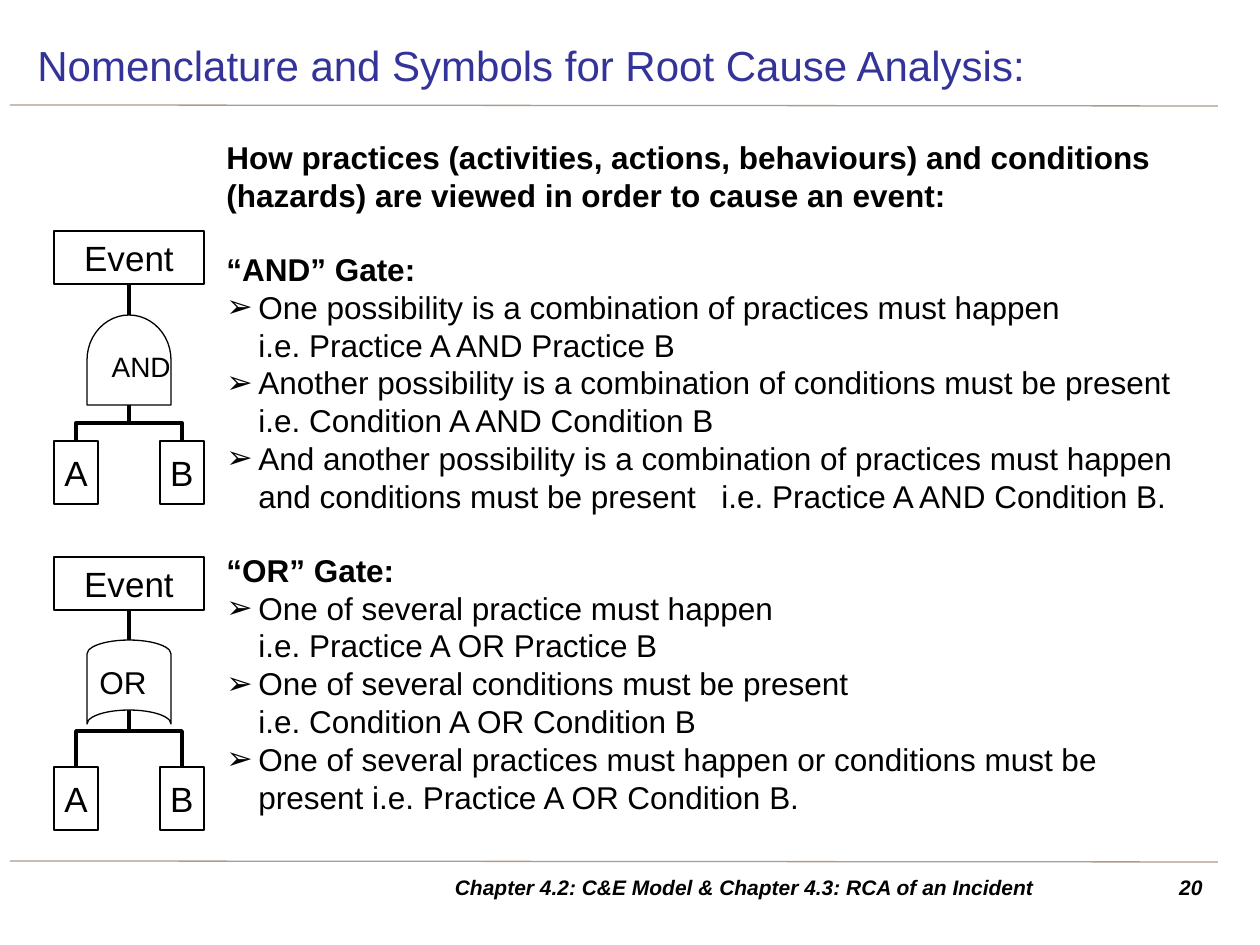
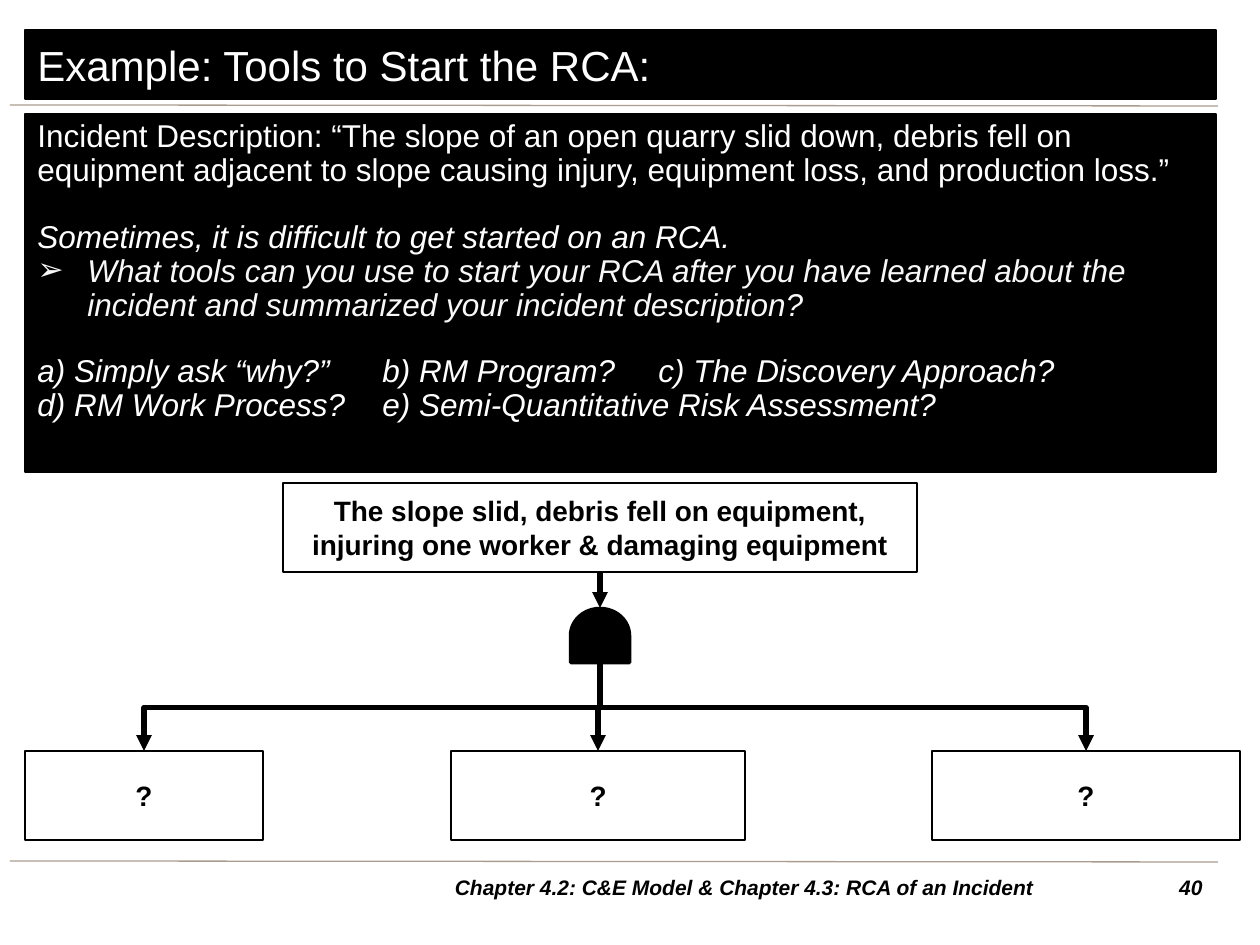
from lxml.etree import SubElement
from pptx import Presentation
from pptx.dml.color import RGBColor
from pptx.enum.shapes import MSO_CONNECTOR as LINK, MSO_SHAPE as SHAPE
from pptx.enum.text import MSO_ANCHOR as ANCHOR, PP_ALIGN as ALIGN
from pptx.oxml.ns import qn
from pptx.util import Emu, Pt

BLACK = RGBColor(0x00, 0x00, 0x00)
WHITE = RGBColor(0xFF, 0xFF, 0xFF)
SOFT_WHITE = RGBColor(0xF8, 0xF8, 0xF8)
TITLE_BLUE = RGBColor(0x33, 0x33, 0x99)
RULE_TAUPE = RGBColor(0xAA, 0x9C, 0x8F)

FONT = "Arial"
FOOTER = "Chapter 4.2: C&E Model & Chapter 4.3: RCA of an Incident"
TITLE_AREA = (25, 30, 1191, 69)
BLANK_LINE = 20.7


def px(length):
    return Emu(round(length * 914400 / 126))


class SlideBuilder:
    def __init__(self):
        self.deck = Presentation()
        self.deck.slide_width, self.deck.slide_height = px(1260), px(945)
        self.page = None

    def start_page(self, title, number, title_color, title_fill=None):
        self.page = self.deck.slides.add_slide(self.deck.slide_layouts[6])
        for y in (105, 861):
            self.line((10, y), (1218, y + 1), width=0.75, color=RULE_TAUPE)
        band = self.box(TITLE_AREA, fill=title_fill) if title_fill is not None else self.text_box(TITLE_AREA)
        self.put_text(band, [(title, {})], size=24, color=title_color)
        footer_style = {"size": 12, "bold": True, "italic": True}
        self.put_text(self.text_box((1142, 868, 73, 39)), [(str(number), {})],
                      anchor=ANCHOR.TOP, align=ALIGN.RIGHT, **footer_style)
        self.put_text(self.text_box((372, 868, 745, 39)), [(FOOTER, {})],
                      align=ALIGN.CENTER, **footer_style)

    def text_box(self, area):
        return self.page.shapes.add_textbox(*map(px, area))

    def box(self, area, kind=SHAPE.RECTANGLE, fill=None, line_width=0.75, rotation=0):
        box = self.page.shapes.add_shape(kind, *map(px, area))
        box.shadow.inherit = False
        box.rotation = rotation
        if fill is None:
            box.fill.background()
        else:
            box.fill.solid()
            box.fill.fore_color.rgb = fill
        box.line.color.rgb = BLACK
        box.line.width = Pt(line_width)
        return box

    def put_text(self, box, paragraphs, anchor=ANCHOR.MIDDLE, align=ALIGN.LEFT, wrap=True,
                 inset=None, spacing=None, **style):
        """Fill a box with (text, options); options override the shared style."""
        frame = box.text_frame
        frame.word_wrap = wrap
        frame.vertical_anchor = anchor
        if inset is not None:
            for side in ("left", "top", "right", "bottom"):
                setattr(frame, f"margin_{side}", px(inset))
        for index, (text, options) in enumerate(paragraphs):
            para = frame.paragraphs[0] if index == 0 else frame.add_paragraph()
            para.text = text
            look = {"color": BLACK, **style, **options}
            layout = {"alignment": align, "line_spacing": spacing,
                      "space_before": Pt(look.pop("before", 0))}
            for name, value in layout.items():
                setattr(para, name, value)
            self.indent(para, look.pop("bullet", 0), look.pop("tabs", ()))
            color = look.pop("color")
            look["size"] = Pt(look["size"])
            for span in para.runs:
                for name, value in {"name": FONT, **look}.items():
                    setattr(span.font, name, value)
                span.font.color.rgb = color

    def indent(self, para, bullet, tabs):
        """Add an arrow bullet with a hanging indent, and tab stops."""
        props = para._p.get_or_add_pPr()
        if bullet:
            props.set("marL", str(px(bullet)))
            props.set("indent", str(px(-bullet)))
            SubElement(props, qn("a:buFont")).set("typeface", FONT)
            SubElement(props, qn("a:buChar")).set("char", "➢")
        if tabs:
            stops = SubElement(props, qn("a:tabLst"))
            for position in tabs:
                stop = SubElement(stops, qn("a:tab"))
                stop.set("pos", str(px(position)))
                stop.set("algn", "l")

    def upright(self, gate, turn=0):
        """Keep the label of a rotated gate level."""
        body = gate.text_frame._txBody.bodyPr
        body.set("vert", "eaVert")
        if turn:
            body.set("rot", str(turn * 60000))

    def line(self, start, end, width, color=BLACK, arrow=False, source=None, kind=LINK.STRAIGHT):
        link = self.page.shapes.add_connector(kind, *map(px, (*start, *end)))
        if source is not None:
            link.begin_connect(source, 2)
        link.line.color.rgb = color
        link.line.width = Pt(width)
        if arrow:
            outline = link._element.spPr.find(qn("a:ln"))
            SubElement(outline, qn("a:tailEnd")).set("type", "triangle")
        SubElement(link._element.spPr, qn("a:effectLst"))
        return link

    def branch(self, start, end, width, bend=0.5, arrow=False):
        """Draw an elbow that leaves downwards and turns at the bend."""
        (x1, y1), (x2, y2) = start, end
        drop, reach = y2 - y1, abs(x2 - x1)
        left, top = (x1 + x2 - drop) / 2, (y1 + y2 - reach) / 2
        link = self.line((left, top), (left + drop, top + reach), width, arrow=arrow, kind=LINK.ELBOW)
        props = link._element.spPr
        frame = props.find(qn("a:xfrm"))
        frame.set("rot", str((90 if x2 < x1 else 270) * 60000))
        if x2 > x1:
            frame.set("flipH", "1")
        guide = SubElement(props.find(qn("a:prstGeom")).find(qn("a:avLst")), qn("a:gd"))
        guide.set("name", "adj1")
        guide.set("fmla", f"val {round(bend * 100000)}")


def gate_tree(builder, top, branch_start, bend):
    """Draw an event above its two causes A and B."""
    label = {"align": ALIGN.CENTER, "wrap": False, "size": 20}
    event = builder.box((54, top, 150, 53), fill=WHITE)
    builder.put_text(event, [("Event", {})], **label)
    builder.line((129, top + 53), (129, top + 84), 2, source=event)
    for cause, left in (("A", 54), ("B", 160)):
        box = builder.box((left, top + 210, 44, 63), fill=WHITE)
        builder.put_text(box, [(cause, {})], **label)
        builder.branch((129, branch_start), (left + 22, top + 210), 2, bend)


def gates_page(builder):
    builder.start_page("Nomenclature and Symbols for Root Cause Analysis:", 20, TITLE_BLUE)
    point = {"bullet": 32}
    heading = {"bold": True, "before": BLANK_LINE}
    builder.put_text(builder.text_box((214, 132, 1002, 697)), [
        ("How practices (activities, actions, behaviours) and conditions (hazards) "
         "are viewed in order to cause an event:", {"bold": True}),
        ("“AND” Gate:", heading),
        ("One possibility is a combination of practices must happen\vi.e. Practice A AND Practice B", point),
        ("Another possibility is a combination of conditions must be present\v"
         "i.e. Condition A AND Condition B", point),
        ("And another possibility is a combination of practices must happen and conditions "
         "must be present\ti.e. Practice A AND Condition B.", {**point, "tabs": (495,)}),
        ("“OR” Gate:", heading),
        ("One of several practice must happen\vi.e. Practice A OR Practice B", point),
        ("One of several conditions must be present\vi.e. Condition A OR Condition B", point),
        ("One of several practices must happen or conditions must be present "
         "i.e. Practice A OR Condition B.", point),
    ], anchor=ANCHOR.TOP, size=18)

    label = {"align": ALIGN.CENTER, "wrap": False}
    and_gate = builder.box((84, 318, 90, 84), SHAPE.FLOWCHART_DELAY, WHITE, rotation=270)
    builder.put_text(and_gate, [("AND", {})], size=16, **label)
    builder.upright(and_gate)
    gate_tree(builder, 231, branch_start=405, bend=0.5)

    gate_tree(builder, 557, branch_start=610, bend=0.77)
    or_gate = builder.box((87, 640, 84, 84), SHAPE.FLOWCHART_STORED_DATA, WHITE, rotation=90)
    builder.put_text(or_gate, [("OR", {})], size=18, **label)
    builder.upright(or_gate, turn=180)


def example_page(builder):
    builder.start_page("Example: Tools to Start the RCA:", 40, WHITE, title_fill=BLACK)
    gap = BLANK_LINE * 0.9
    choices = {"italic": True, "tabs": (345, 621)}
    builder.put_text(builder.box((25, 114, 1191, 358), fill=BLACK), [
        ("Incident Description: “The slope of an open quarry slid down, debris fell on equipment "
         "adjacent to slope causing injury, equipment loss, and production loss.”", {}),
        ("Sometimes, it is difficult to get started on an RCA.", {"italic": True, "before": gap}),
        ("What tools can you use to start your RCA after you have learned about the incident "
         "and summarized your incident description?",
         {"italic": True, "bullet": 50, "color": SOFT_WHITE}),
        ("a) Simply ask “why?”\tb) RM Program?\tc) The Discovery Approach?", {**choices, "before": gap}),
        ("d) RM Work Process?\te) Semi-Quantitative Risk Assessment?", choices),
    ], anchor=ANCHOR.TOP, spacing=0.9, size=18, color=WHITE)

    label = {"align": ALIGN.CENTER, "inset": 5, "size": 16, "bold": True}
    incident = builder.box((283, 483, 634, 89))
    builder.put_text(incident, [("The slope slid, debris fell on equipment, "
                                 "injuring one worker & damaging equipment", {})], **label)
    builder.box((573, 606, 54, 59), SHAPE.FLOWCHART_DELAY, BLACK, line_width=2, rotation=270)
    builder.line((600, 572), (600, 608), 3, arrow=True, source=incident)
    for left, width in ((25, 238), (451, 294), (932, 308)):
        builder.put_text(builder.box((left, 751, width, 89)), [("?", {})], **label)
        builder.branch((600, 664), (left + width / 2, 751), 3, arrow=True)


def main():
    builder = SlideBuilder()
    gates_page(builder)
    example_page(builder)
    builder.deck.save("out.pptx")


if __name__ == "__main__":
    main()
